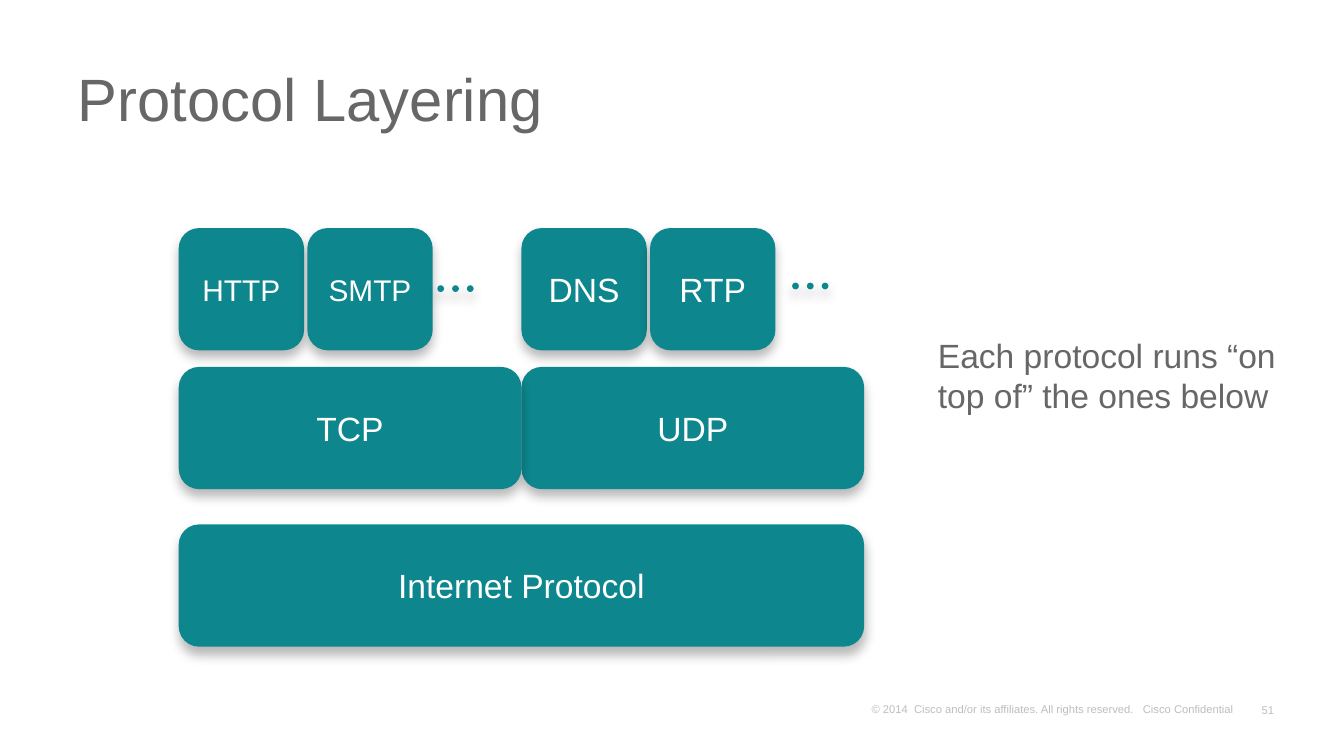
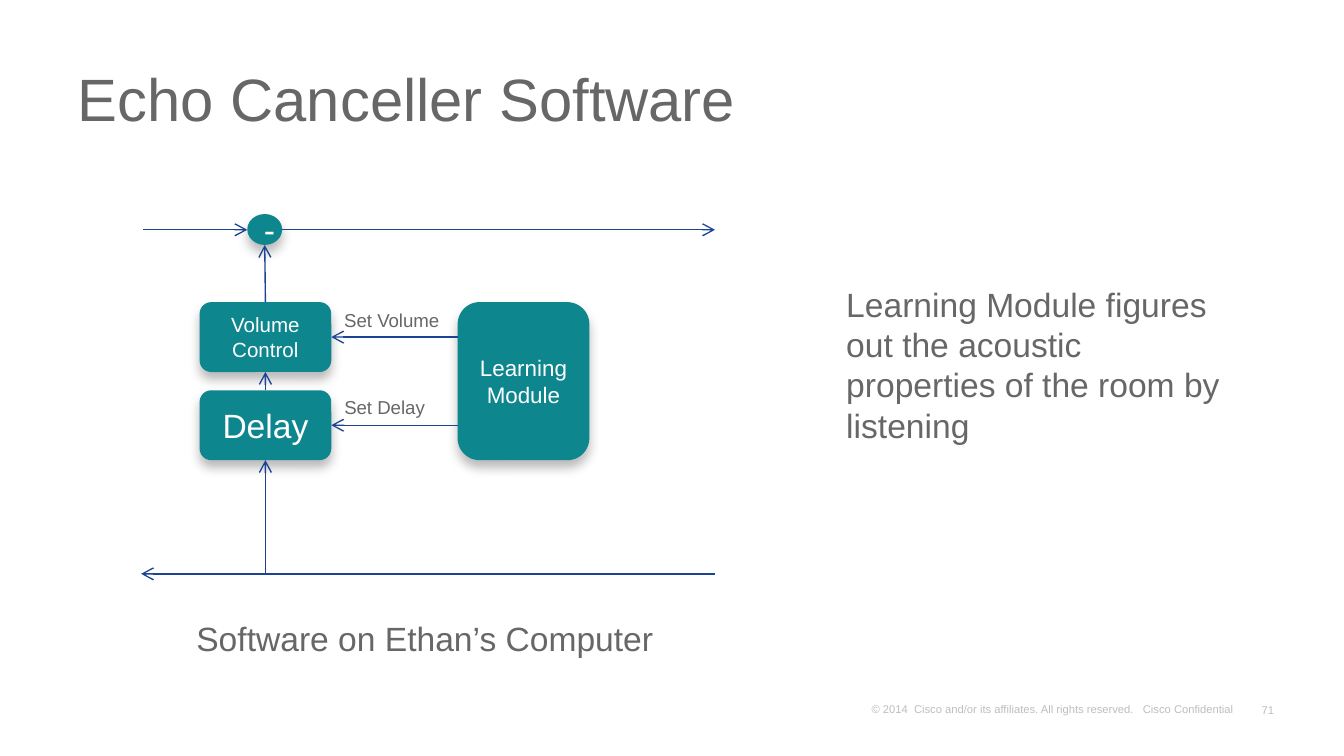
from lxml.etree import SubElement as Sub
from pptx import Presentation
from pptx.dml.color import RGBColor as Rgb
from pptx.enum.shapes import MSO_CONNECTOR as Link, MSO_SHAPE as Kind
from pptx.enum.text import MSO_ANCHOR as Anchor, MSO_AUTO_SIZE as Fit, PP_ALIGN as Align
from pptx.oxml.ns import qn
from pptx.util import Inches, Pt

HUES = {"teal": "0D868E", "navy": "1D4494", "grey": "676767", "white": "FFFFFF", "black": "000000"}
COLS, ROWS = 100, 56.25
WIDE, HIGH = Pt(720), Pt(405)
LEGAL = "© 2014  Cisco and/or its affiliates. All rights reserved.   Cisco Confidential"


def hue(name):
    return Rgb.from_string(HUES[name])


def write(frame, text, size=18, color="grey", align=Align.LEFT, anchor=Anchor.TOP,
          wrap=True, fit=Fit.NONE, inset=(0.1, 0.05), pitch=None, alpha=None):
    frame.auto_size, frame.word_wrap, frame.vertical_anchor = fit, wrap, anchor
    frame.margin_left = frame.margin_right = Inches(inset[0])
    frame.margin_top = frame.margin_bottom = Inches(inset[1])
    para = frame.paragraphs[0]
    para.alignment, para.line_spacing = align, pitch
    run = para.add_run()
    run.text = text
    run.font.name, run.font.size = "Arial", Pt(size)
    run.font.color.rgb = hue(color)
    if alpha:
        tint = run._r.find(".//" + qn("a:srgbClr"))
        Sub(tint, qn("a:alpha"), val=str(alpha * 1000))


class Deck:
    """Hold the shared style and draw on the current slide in grid cells."""

    def __init__(self):
        self.show = Presentation()
        self.show.slide_width, self.show.slide_height = WIDE, HIGH
        self.page = None

    def area(self, x, y, w, h):
        col, row = WIDE / COLS, HIGH / ROWS
        return [round(n) for n in (x * col, y * row, w * col, h * row)]

    def start(self, title, number):
        self.page = self.show.slides.add_slide(self.show.slide_layouts[5])
        head = self.page.shapes.title
        head.left, head.top, head.width, head.height = self.area(4.8, 3.75, 91.3, 8)
        write(head.text_frame, title, size=32, anchor=Anchor.MIDDLE, pitch=0.8)
        foot = dict(size=6, color="black", alpha=25, anchor=Anchor.BOTTOM, inset=(0.07, 0.03))
        self.label(str(number), 93.1, 51.9, 2.4, 1.7, align=Align.RIGHT, wrap=False, **foot)
        self.label(LEGAL, 64.15, 51.85, 29.1, 1.7, **foot)

    def label(self, text, x, y, w, h, fill=None, **form):
        box = self.page.shapes.add_textbox(*self.area(x, y, w, h))
        if fill:
            box.fill.solid()
            box.fill.fore_color.rgb = hue(fill)
        write(box.text_frame, text, fit=Fit.SHAPE_TO_FIT_TEXT, **form)

    def block(self, text, x, y, w, h, size=18, kind=Kind.ROUNDED_RECTANGLE):
        box = self.page.shapes.add_shape(kind, *self.area(x, y, w, h))
        box.fill.solid()
        box.fill.fore_color.rgb = hue("teal")
        box.line.fill.background()
        box.shadow.inherit = False
        glow = Sub(box._element.spPr.find(qn("a:effectLst")), qn("a:outerShdw"),
                   blurRad=str(Pt(6)), dist=str(Pt(4)), dir="5400000", rotWithShape="0")
        tint = Sub(glow, qn("a:srgbClr"), val=HUES["black"])
        Sub(tint, qn("a:alpha"), val="27000")
        if text:
            write(box.text_frame, text, size=size, color="white",
                  align=Align.CENTER, anchor=Anchor.MIDDLE)
        return box

    def dots(self, x, y):
        for step in range(3):
            self.block("", x + 1.1 * step, y, 0.5, 0.5, kind=Kind.OVAL)

    def arrow(self, x, y, to_x, to_y, tail=None, head=None):
        line = self.page.shapes.add_connector(Link.STRAIGHT, *self.area(x, y, to_x, to_y))
        if tail:
            line.begin_connect(*tail)
        if head:
            line.end_connect(*head)
        line.line.color.rgb = hue("navy")
        line.line.width = Pt(0.75)
        prop = line._element.spPr
        Sub(prop.find(qn("a:ln")), qn("a:tailEnd"), type="arrow")
        Sub(prop, qn("a:effectLst"))


def layers(deck):
    deck.start("Protocol Layering", 51)
    left, half, tall = 13.3, 25.5, 9.1
    deck.block("Internet Protocol", left, 39.02, 2 * half, tall)
    stacks = (("UDP", ("DNS", "RTP"), 18), ("TCP", ("HTTP", "SMTP"), 16))
    for base, x in (("UDP", left + half), ("TCP", left)):
        deck.block(base, x, 27.3, half, tall)
    for x, apps, size in ((left, ("HTTP", "SMTP"), 16), (left + half, ("DNS", "RTP"), 18)):
        for spot, app in enumerate(apps):
            deck.block(app, x + 9.57 * spot, 16.97, 9.33, tall, size=size)
    deck.dots(32.54, 21.23)
    deck.dots(58.94, 21.03)
    deck.label("Each protocol runs “on top of” the ones below", 68.8, 24.4, 27.8, 10.1)


def echo(deck):
    deck.start("Echo Canceller Software", 71)
    mid, top, low, end = 19.75, 17.1, 42.7, 53.2
    deck.arrow(10.65, top, 18.4, top)
    deck.arrow(end, low, 10.5, low)
    deck.label("Software on Ethan’s Computer", 13.63, 45.5, 36.3, 4, fill="white", wrap=False)
    delay = deck.block("Delay", 14.85, 29.04, 9.8, 5.2)
    volume = deck.block("Volume Control", 14.85, 22.48, 9.8, 5.2, size=11)
    deck.block("-", 18.4, 15.93, 2.6, 2.3, kind=Kind.OVAL)
    deck.arrow(mid, low, mid, 34.24, head=(delay, 2))
    deck.arrow(mid, 22.48, 19.7, 18.23, tail=(volume, 0))
    deck.arrow(mid, 29.04, mid, 27.68, tail=(delay, 0), head=(volume, 2))
    deck.block("Learning Module", 34.05, 22.48, 9.8, 11.76, size=12)
    for box, y in ((volume, 25.08), (delay, 31.64)):
        deck.arrow(34.05, y, 24.65, y, head=(box, 3))
    for text, y, w in (("Set Volume", 22.5, 9.4), ("Set Delay", 28.95, 8.2)):
        deck.label(text, 24.63, y, w, 2.7, size=10, wrap=False)
    deck.arrow(21, top, end, top)
    deck.label("Learning Module figures out the acoustic properties of the room by listening",
               61.98, 20.6, 29.8, 13.1)


def main():
    deck = Deck()
    layers(deck)
    echo(deck)
    deck.show.save("out.pptx")


if __name__ == "__main__":
    main()
